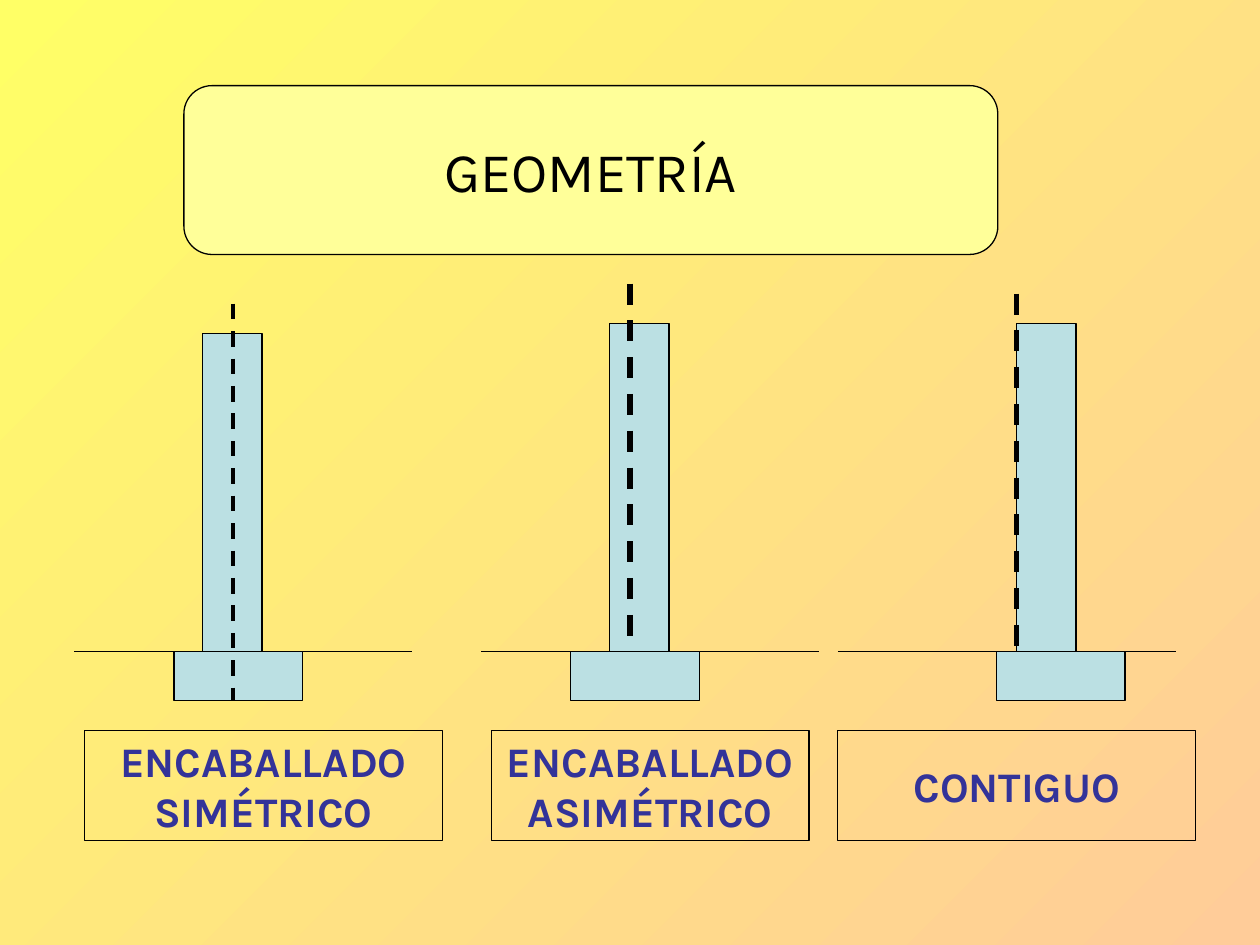
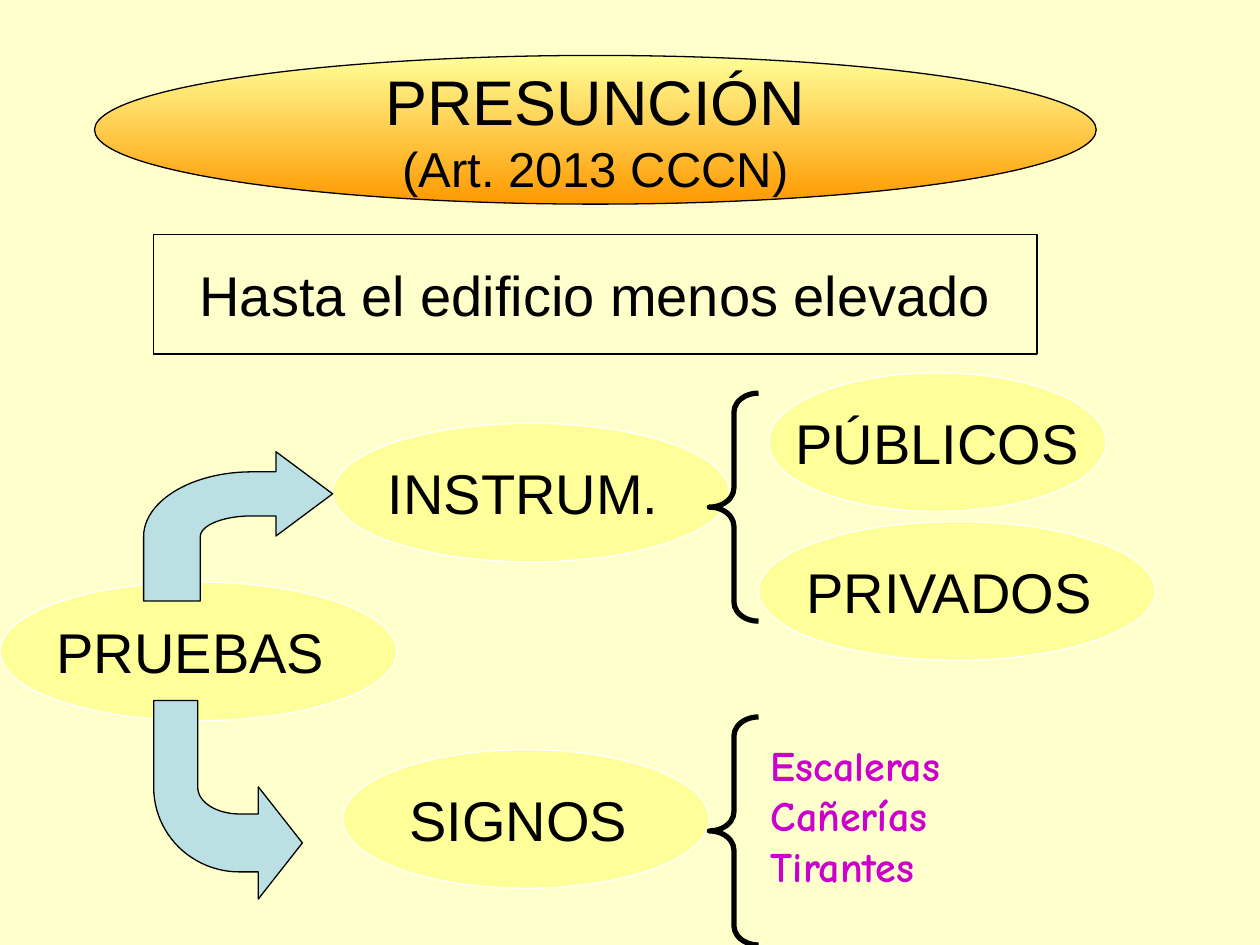
from dataclasses import dataclass
from math import cos, pi, sin
from typing import NamedTuple, Optional

from lxml.etree import SubElement
from pptx import Presentation
from pptx.dml.color import RGBColor
from pptx.enum.dml import MSO_LINE
from pptx.enum.shapes import MSO_CONNECTOR, MSO_SHAPE as Preset
from pptx.enum.text import MSO_ANCHOR, PP_ALIGN as Align
from pptx.oxml.ns import qn
from pptx.util import Inches, Pt

COLUMNS, ROWS = 100, 75
WIDTH, HEIGHT = Inches(10), Inches(7.5)
CURVE_STEPS = 24
COLOURS = {
    "ink": "000000", "white": "FFFFFF", "navy": "333399", "magenta": "CC00CC",
    "masonry": "BBE0E3", "lemon": "FFFF99", "cream": "FFFFCC",
    "sun": "FFFF66", "peach": "FFCC99", "orange": "FF9900",
}


class Box(NamedTuple):
    """Place and size in grid columns and rows."""
    col: float
    row: float
    cols: float
    rows: float


class Lettering(NamedTuple):
    """Font, colour, weight and alignment of a text."""
    font: str
    colour: str = "ink"
    bold: bool = False
    align: Align = Align.CENTER


class Line(NamedTuple):
    """One line of text with its size in points."""
    text: str
    size: float = 32


@dataclass
class Panel:
    """A preset shape with its paint and optional text."""
    preset: Preset
    box: Box
    fill: Optional[str] = None
    outline: str = "ink"
    weight: float = 0.75
    lines: tuple[Line, ...] = ()
    lettering: Lettering = Lettering("Arial")


@dataclass
class Wall:
    """A wall on its footing, with the boundary axis and a caption."""
    stem_col: float
    stem_row: float
    footing_col: float
    axis_col: float
    axis_row: float
    axis_weight: float
    axis_in_front: bool
    ground_col: float
    caption_col: float
    caption_cols: float
    caption: tuple[str, ...]


@dataclass
class BentArrow:
    """An arrow that leaves a vertical tail and bends to the right."""
    left: float
    inner: float
    bend: float
    neck: float
    tip: float
    tail_row: float
    corner_row: float
    tip_row: float
    head_half: float
    band_half: float


KARLA = Lettering("Karla")
CAPTION = Lettering("Karla", "navy", True)
SIGNS = Lettering("Comic Neue", "magenta", True, Align.LEFT)
GROUND_ROW, GROUND_COLS = 51.7, 26.8
AXIS_ROWS = 31.5

WALLS = [
    Wall(16.1, 26.5, 13.8, 18.5, 24.1, 2.25, True, 5.9, 6.7, 28.4,
         ("ENCABALLADO", "SIMÉTRICO")),
    Wall(48.4, 25.7, 45.3, 50, 22.5, 3, False, 38.2, 39, 25.2,
         ("ENCABALLADO", "ASIMÉTRICO")),
    Wall(80.7, 25.7, 79.1, 80.7, 23.3, 3, False, 66.5, 66.5, 28.4,
         ("CONTIGUO",)),
]
BUBBLES = [
    ("SIGNOS ", 27.2, 59.5, 29.1),
    ("PÚBLICOS", 61, 29.6, 26.8),
    ("PRIVADOS ", 60.2, 41.4, 31.5),
    ("INSTRUM. ", 26.4, 33.6, 31.5),
    ("PRUEBAS ", 0, 46.2, 31.5),
]
BRACE_ROWS = (31.2, 56.9)
ARROWS = [
    BentArrow(11.4, 15.9, 20, 21.9, 26.4, 47.7, 42.6, 39.2, 3.35, 1.75),
    BentArrow(12.2, 15.7, 19, 20.5, 24, 55.6, 62.5, 66.9, 4.45, 2.3),
]


def rgb(name: str) -> RGBColor:
    """Look up a colour by name."""
    return RGBColor.from_string(COLOURS[name])


def across(columns: float) -> int:
    """Turn grid columns into a length."""
    return round(WIDTH * columns / COLUMNS)


def down(rows: float) -> int:
    """Turn grid rows into a length."""
    return round(HEIGHT * rows / ROWS)


def place(box: Box) -> tuple[int, int, int, int]:
    """Turn a grid box into left, top, width and height."""
    return across(box.col), down(box.row), across(box.cols), down(box.rows)


def blend(fill, start: str, end: str, angle: float) -> None:
    """Fill with a two-colour gradient, the angle counted anticlockwise."""
    fill.gradient()
    fill.gradient_angle = angle
    for stop, name in zip(fill.gradient_stops, (start, end)):
        stop.color.rgb = rgb(name)


def paint(shape, fill: Optional[str], outline: str, weight: float) -> None:
    """Give a shape its fill and outline, without a shadow."""
    shape.shadow.inherit = False
    if fill:
        shape.fill.solid()
        shape.fill.fore_color.rgb = rgb(fill)
    else:
        shape.fill.background()
    shape.line.color.rgb = rgb(outline)
    shape.line.width = Pt(weight)


def write(shape, lines: tuple[Line, ...], lettering: Lettering) -> None:
    """Set unwrapped lines of text, centred vertically."""
    frame = shape.text_frame
    frame.text = "\n".join(line.text for line in lines)
    frame.word_wrap = False
    frame.vertical_anchor = MSO_ANCHOR.MIDDLE
    for paragraph, line in zip(frame.paragraphs, lines):
        paragraph.alignment = lettering.align
        for run in paragraph.runs:
            run.font.name = lettering.font
            run.font.size = Pt(line.size)
            run.font.bold = lettering.bold
            run.font.color.rgb = rgb(lettering.colour)


def draw_panel(slide, panel: Panel):
    """Draw a preset shape and return it."""
    shape = slide.shapes.add_shape(panel.preset, *place(panel.box))
    paint(shape, panel.fill, panel.outline, panel.weight)
    if panel.lines:
        write(shape, panel.lines, panel.lettering)
    return shape


def draw_line(slide, box: Box, weight: float = 0.75, dashed: bool = False) -> None:
    """Draw a straight line from one corner of a box to the opposite one."""
    left, top, width, height = place(box)
    line = slide.shapes.add_connector(
        MSO_CONNECTOR.STRAIGHT, left, top, left + width, top + height)
    line.line.color.rgb = rgb("ink")
    line.line.width = Pt(weight)
    if dashed:
        line.line.dash_style = MSO_LINE.DASH
    SubElement(line._element.spPr, qn("a:effectLst"))


def draw_wall(slide, wall: Wall) -> None:
    """Draw the ground, wall, footing, axis and caption."""
    draw_line(slide, Box(wall.ground_col, GROUND_ROW, GROUND_COLS, 0))
    stem = Box(wall.stem_col, wall.stem_row, 4.7, 26)
    footing = Box(wall.footing_col, GROUND_ROW, 10.2, 3.9)
    axis = Box(wall.axis_col, wall.axis_row, 0, AXIS_ROWS)
    draw_panel(slide, Panel(Preset.RECTANGLE, stem, "masonry"))
    if not wall.axis_in_front:
        draw_line(slide, axis, wall.axis_weight, True)
    draw_panel(slide, Panel(Preset.RECTANGLE, footing, "masonry"))
    if wall.axis_in_front:
        draw_line(slide, axis, wall.axis_weight, True)
    draw_panel(slide, Panel(
        Preset.RECTANGLE, Box(wall.caption_col, 58, wall.caption_cols, 8.7),
        lines=tuple(Line(text, 24) for text in wall.caption), lettering=CAPTION))


def quarter(arrow: BentArrow, side: float, row: float) -> list[tuple[float, float]]:
    """Trace a quarter ellipse from the band to the tail."""
    angles = [pi / 2 * step / CURVE_STEPS for step in range(CURVE_STEPS + 1)]
    return [(arrow.bend - (arrow.bend - side) * sin(angle),
             arrow.corner_row + (row - arrow.corner_row) * cos(angle))
            for angle in angles]


def draw_arrow(slide, arrow: BentArrow) -> None:
    """Draw a bent arrow, its tail above or below the head."""
    turn = 1 if arrow.tail_row > arrow.tip_row else -1
    outer, inner = (arrow.tip_row - side * turn * arrow.band_half for side in (1, -1))
    far, near = (arrow.tip_row - side * turn * arrow.head_half for side in (1, -1))
    outline = [
        (arrow.tip, arrow.tip_row), (arrow.neck, far), (arrow.neck, outer),
        *quarter(arrow, arrow.left, outer),
        (arrow.left, arrow.tail_row), (arrow.inner, arrow.tail_row),
        *reversed(quarter(arrow, arrow.inner, inner)),
        (arrow.neck, inner), (arrow.neck, near),
    ]
    points = [(across(col), down(row)) for col, row in outline]
    builder = slide.shapes.build_freeform(*points[0])
    builder.add_line_segments(points[1:], close=True)
    paint(builder.convert_to_shape(), "masonry", "ink", 0.75)


def build_geometry(slide) -> None:
    """Build the slide on the geometry of party walls."""
    blend(slide.background.fill, "sun", "peach", 315)
    draw_panel(slide, Panel(Preset.ROUNDED_RECTANGLE, Box(14.6, 6.8, 64.6, 13.4),
                            "lemon", lines=(Line("GEOMETRÍA"),), lettering=KARLA))
    for wall in WALLS:
        draw_wall(slide, wall)


def build_presumption(slide) -> None:
    """Build the slide on the presumption and its proofs."""
    slide.background.fill.solid()
    slide.background.fill.fore_color.rgb = rgb("cream")
    title = draw_panel(slide, Panel(
        Preset.OVAL, Box(7.5, 4.4, 79.5, 11.8),
        lines=(Line("PRESUNCIÓN", 36), Line("(Art. 2013 CCCN)", 28))))
    blend(title.fill, "lemon", "orange", 270)
    draw_panel(slide, Panel(Preset.RECTANGLE, Box(12.2, 18.6, 70.1, 9.5),
                            lines=(Line("Hasta el edificio menos elevado"),)))
    for text, col, row, cols in BUBBLES:
        draw_panel(slide, Panel(Preset.OVAL, Box(col, row, cols, 11),
                                "lemon", "white", lines=(Line(text),)))
    for row in BRACE_ROWS:
        brace = draw_panel(slide, Panel(
            Preset.LEFT_BRACE, Box(56.3, row, 3.9, 18.1), weight=3))
        brace.adjustments[0] = 0.39
    signs = slide.shapes.add_textbox(*place(Box(60.2, 57.2, 24.4, 15)))
    write(signs, tuple(Line(text, 24) for text in ("Escaleras", "Cañerías", "Tirantes")),
          SIGNS)
    for arrow in ARROWS:
        draw_arrow(slide, arrow)


def main() -> None:
    """Build and save the presentation."""
    deck = Presentation()
    deck.slide_width, deck.slide_height = WIDTH, HEIGHT
    for build in (build_geometry, build_presumption):
        build(deck.slides.add_slide(deck.slide_layouts[6]))
    deck.save("out.pptx")


if __name__ == "__main__":
    main()
